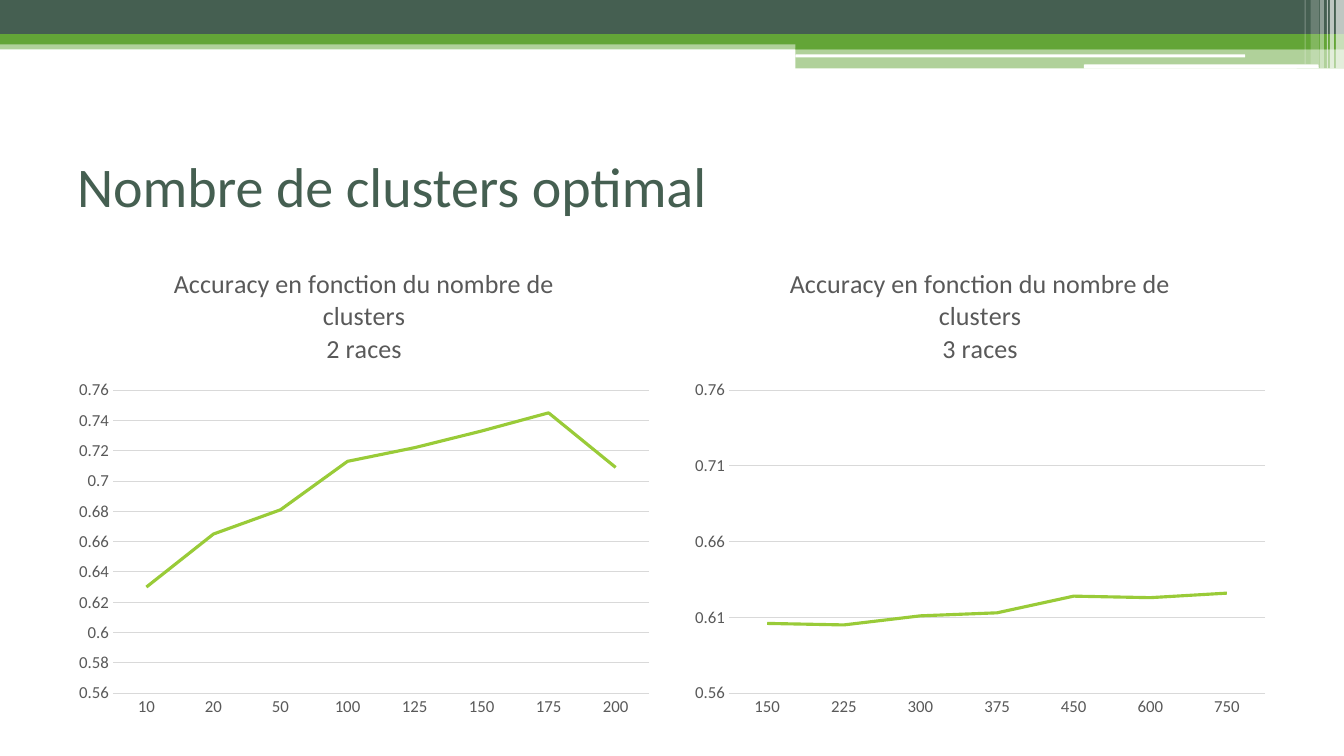
import pptx
import pptx.util
import pptx.chart.data
from lxml import etree
from pptx.dml.color import RGBColor
from pptx.enum.chart import XL_CHART_TYPE, XL_TICK_MARK
from pptx.enum.shapes import MSO_SHAPE
from pptx.enum.text import MSO_ANCHOR
from pptx.oxml.ns import qn

DARK = RGBColor(0x45, 0x5F, 0x51)
GREEN = RGBColor(0x63, 0xA5, 0x37)
LIME = RGBColor(0x99, 0xCB, 0x38)
WHITE = RGBColor(0xFF, 0xFF, 0xFF)
GREY = RGBColor(0x59, 0x59, 0x59)
PALE = RGBColor(0xD9, 0xD9, 0xD9)
FONT = "Calibri"
Inches, Pt = pptx.util.Inches, pptx.util.Pt

deck = pptx.Presentation()
deck.slide_width, deck.slide_height = Inches(13.33), Inches(7.5)
slide = deck.slides.add_slide(deck.slide_layouts[6])
WIDE = 13.33
HALF = 7.89
EDGE = WIDE / 20
RECT, ROUND = MSO_SHAPE.RECTANGLE, MSO_SHAPE.ROUNDED_RECTANGLE


def style(font, size, color):
    font.name, font.size, font.bold = FONT, Pt(size), False
    font.color.rgb = color


# Header bands and the pale stripes at right: left, top, width, height, opacity
bands = [
    (RECT, 0, 0.4, WIDE, 0.09, GREEN, 50),
    (RECT, 0, 0, WIDE, 0.34, DARK, 100),
    (RECT, 0, 0.34, WIDE, 0.1, GREEN, 100),
    (RECT, HALF, 0.39, WIDE - HALF, 0.1, GREEN, 100),
    (RECT, HALF, 0.48, WIDE - HALF, 0.2, GREEN, 50),
    (ROUND, HALF, 0.54, 4.46, 0.03, WHITE, 100),
    (ROUND, 10.75, 0.64, 2.33, 0.04, WHITE, 100),
]
stripes = [(13.25, 0.08, 0.68, 65), (13.19, 0.04, 0.68, 65),
           (13.16, 0.01, 0.68, 60), (13.09, 0.04, 0.68, 40),
           (13, 0.08, 0.64, 20), (12.94, 0.01, 0.64, 30)]
bands += [(RECT, x, 0, w, h, WHITE, a) for x, w, h, a in stripes]
for kind, x, y, w, h, color, alpha in bands:
    band = slide.shapes.add_shape(kind, Inches(x), Inches(y), Inches(w), Inches(h))
    band.shadow.inherit = False
    band.line.fill.background()
    band.fill.solid()
    band.fill.fore_color.rgb = color
    if alpha < 100:
        tint = band.fill._xPr.find(".//" + qn("a:srgbClr"))
        etree.SubElement(tint, qn("a:alpha")).set("val", str(alpha * 1000))

# Title
box = slide.shapes.add_textbox(Inches(EDGE), Inches(1.25), Inches(12), Inches(1.17))
frame = box.text_frame
frame.word_wrap = True
frame.vertical_anchor = MSO_ANCHOR.MIDDLE
frame.text = "Nombre de clusters optimal"
style(frame.paragraphs[0].runs[0].font, 40, DARK)

# Two line charts side by side: subtitle, axis step, categories, values
plots = [
    ("2 races", 0.02, [10, 20, 50, 100, 125, 150, 175, 200],
     [0.63, 0.665, 0.681, 0.713, 0.722, 0.733, 0.745, 0.709]),
    ("3 races", 0.05, [150, 225, 300, 375, 450, 600, 750],
     [0.606, 0.605, 0.611, 0.613, 0.624, 0.623, 0.626]),
]
for col, (races, step, cats, vals) in enumerate(plots):
    data = pptx.chart.data.CategoryChartData()
    data.categories = [str(cat) for cat in cats]
    data.add_series("Series 1", vals)
    chart = slide.shapes.add_chart(
        XL_CHART_TYPE.LINE, Inches(EDGE + col * 6.11), Inches(2.46),
        Inches(5.89), Inches(4.75), data).chart
    style(chart.font, 12, GREY)
    chart.has_legend = False

    # Chart title in three lines
    head = chart.chart_title.text_frame
    head.text = "Accuracy en fonction du nombre de"
    for text in ("clusters", races):
        head.add_paragraph().text = text
    for para in head.paragraphs:
        style(para.font, 18.6, GREY)
        style(para.runs[0].font, 18.6, GREY)
    chart.chart_title.include_in_layout = False

    # Axes
    for axis in (chart.category_axis, chart.value_axis):
        axis.major_tick_mark = axis.minor_tick_mark = XL_TICK_MARK.NONE
        style(axis.tick_labels.font, 12, GREY)
    rule = chart.category_axis.format.line
    scale = chart.value_axis
    scale.format.line.fill.background()
    scale.minimum_scale, scale.maximum_scale = 0.56, 0.76
    scale.major_unit = step
    scale.tick_labels.number_format = "General"
    scale.tick_labels.number_format_is_linked = False
    for line in (rule, scale.major_gridlines.format.line):
        line.color.rgb, line.width = PALE, Pt(0.75)

    # Line
    plot = chart.plots[0]
    plot.vary_by_categories = False
    curve = plot.series[0]
    curve.smooth = False
    curve.format.line.color.rgb = LIME
    curve.format.line.width = Pt(2.25)

deck.save("out.pptx")
